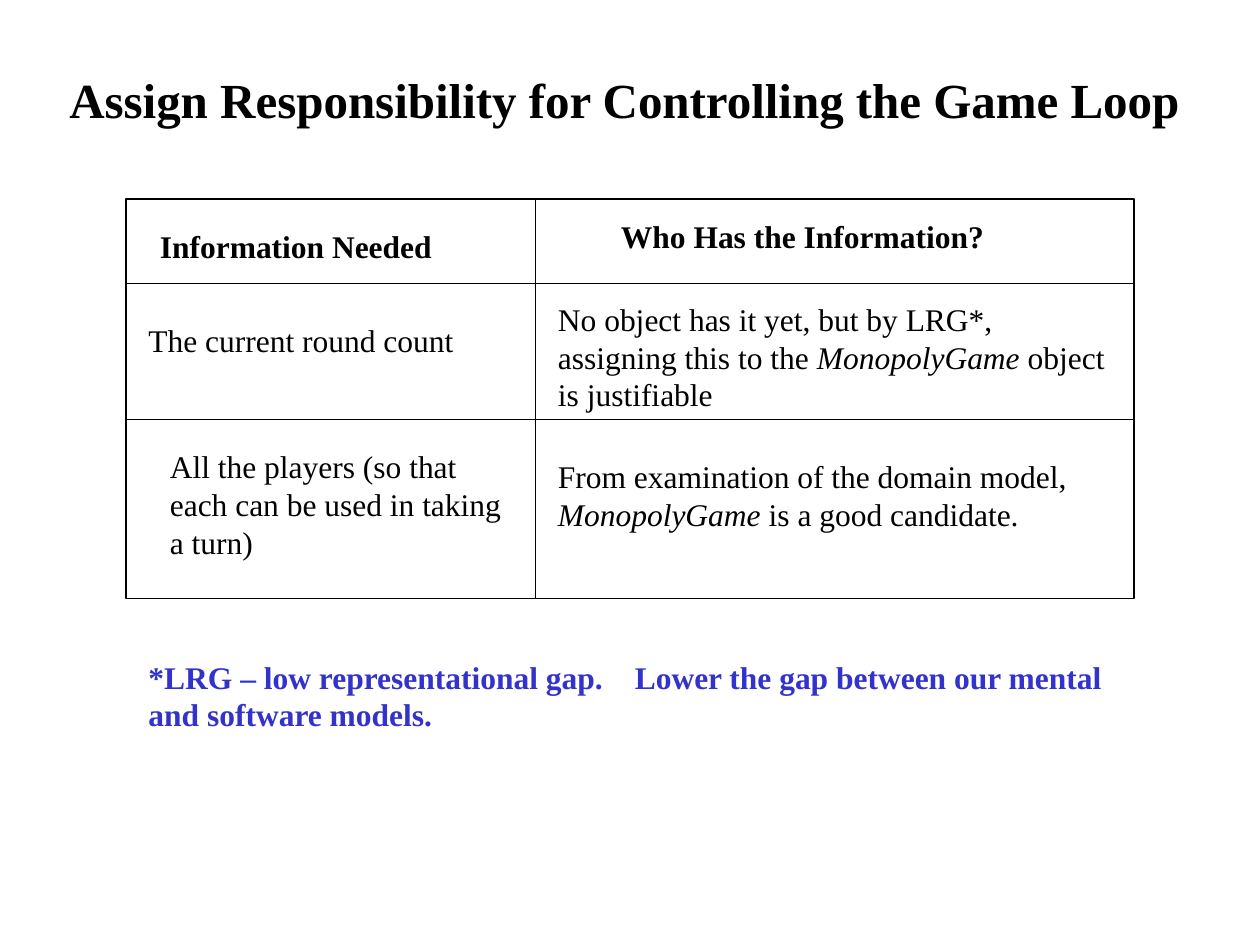
from lxml import etree
from pptx import Presentation
from pptx.dml.color import RGBColor
from pptx.enum import shapes, text
from pptx.oxml import ns
from pptx.util import Inches, Pt

FONT = "Times New Roman"
BLACK, WHITE, BLUE = "000000", "FFFFFF", "3333CC"
CLASS_NAME = "MonopolyGame"

TITLE = "Assign Responsibility for Controlling the Game Loop"
NOTE = ("*LRG – low representational gap.\tLower the gap between our mental "
        "and software models.")
NOTE_TAB = 3.86

# Grid of the comparison, in inches
LEFT, DIVIDER, RIGHT = 1, 4.25, 9
TOP, HEADER_BOTTOM, ROW_LINE, BOTTOM = 1.58, 2.25, 3.33, 4.75

# Each entry: text, then left, top, width and height
HEADINGS = [
    ("Information Needed", 1.17, 1.75, 3.08, 0.4),
    ("Who Has the Information?", 4.83, 1.67, 4, 0.4),
]
ENTRIES = [
    ("The current round count", 1.08, 2.5, 3.08, 0.4),
    ("No object has it yet, but by LRG*, assigning this to the "
     "MonopolyGame object is justifiable", 4.33, 2.33, 4.58, 1),
    ("All the players (so that each can be used in taking a turn)",
     1.25, 3.5, 2.83, 1),
    ("From examination of the domain model, MonopolyGame is a good candidate.",
     4.33, 3.58, 4.5, 0.7),
]


def color(value):
    return RGBColor.from_string(value)


def add_text(slide, content, left, top, width, height,
             size=18, value=BLACK, bold=False):
    box = slide.shapes.add_textbox(*map(Inches, (left, top, width, height)))
    frame = box.text_frame
    frame.word_wrap = True
    frame.auto_size = text.MSO_AUTO_SIZE.SHAPE_TO_FIT_TEXT
    paragraph = frame.paragraphs[0]
    # The class name is set in italics
    for part in filter(None, content.partition(CLASS_NAME)):
        run = paragraph.add_run()
        run.text = part
        font = run.font
        font.name, font.size = FONT, Pt(size)
        font.bold, font.italic = bold, part == CLASS_NAME
        font.color.rgb = color(value)
    return paragraph


def set_line(shape):
    shape.line.color.rgb = color(BLACK)
    shape.line.width = Pt(0.75)


def add_frame(slide, top, bottom):
    shape = slide.shapes.add_shape(
        shapes.MSO_SHAPE.RECTANGLE, Inches(LEFT), Inches(top),
        Inches(RIGHT - LEFT), Inches(bottom - top))
    shape.shadow.inherit = False
    shape.fill.solid()
    shape.fill.fore_color.rgb = color(WHITE)
    set_line(shape)


def add_rule(slide, *ends):
    connector = slide.shapes.add_connector(
        shapes.MSO_CONNECTOR.STRAIGHT, *map(Inches, ends))
    set_line(connector)
    etree.SubElement(connector._element.spPr, ns.qn("a:effectLst"))


presentation = Presentation()
presentation.slide_width, presentation.slide_height = Inches(10), Inches(7.5)
slide = presentation.slides.add_slide(presentation.slide_layouts[6])

# Title
title = add_text(slide, TITLE, 0.33, 0.5, 9.25, 0.57, size=28, bold=True)
title.alignment = text.PP_ALIGN.CENTER

# Header and body frames with their dividing lines
add_frame(slide, TOP, HEADER_BOTTOM)
add_frame(slide, HEADER_BOTTOM, BOTTOM)
add_rule(slide, DIVIDER, TOP, DIVIDER, BOTTOM)
add_rule(slide, RIGHT, ROW_LINE, LEFT, ROW_LINE)

# Headings and entries
for heading in HEADINGS:
    add_text(slide, *heading, bold=True)
for entry in ENTRIES:
    add_text(slide, *entry)

# Footnote, with a tab stop between its two sentences
note = add_text(slide, NOTE, 1.08, 5.17, 8.08, 0.7, value=BLUE, bold=True)
tabs = etree.SubElement(note._p.get_or_add_pPr(), ns.qn("a:tabLst"))
etree.SubElement(tabs, ns.qn("a:tab"), pos=str(Inches(NOTE_TAB)), algn="l")

presentation.save("out.pptx")
